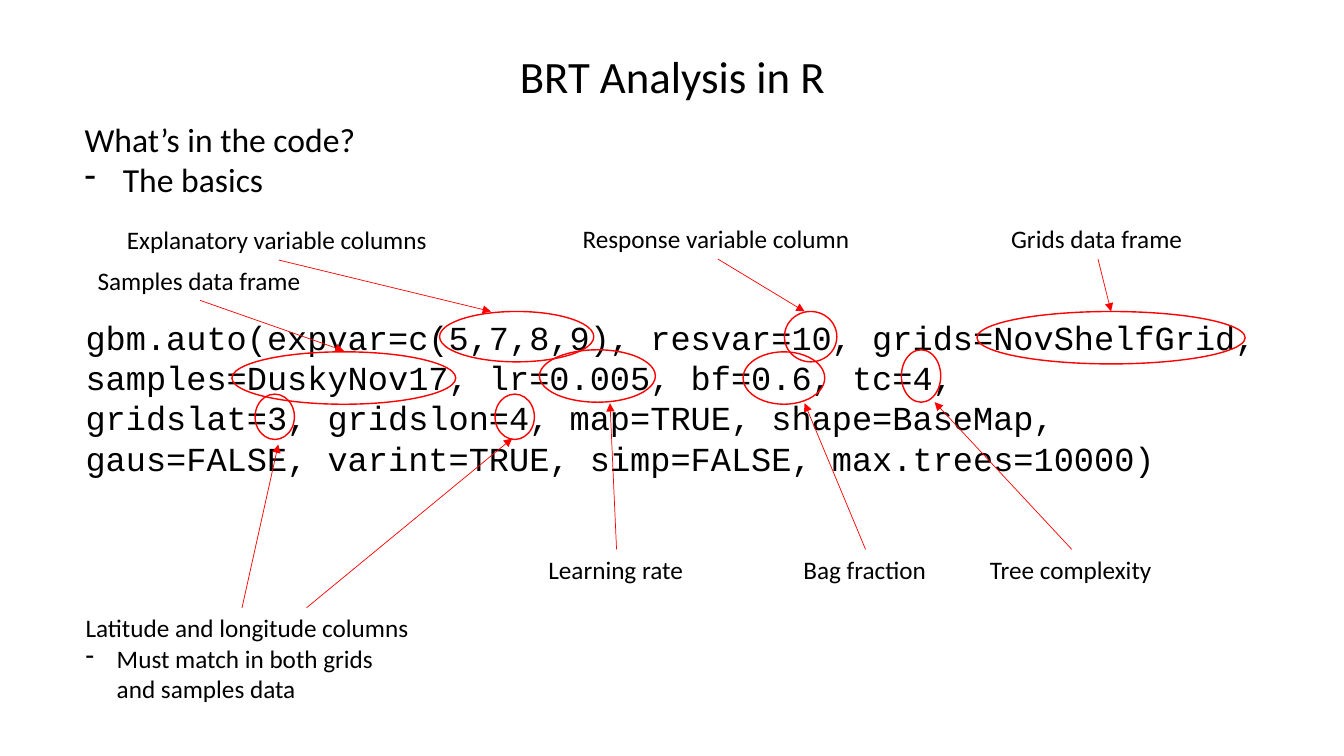
from lxml.etree import SubElement
from pptx import Presentation
from pptx.dml.color import RGBColor
from pptx.enum.shapes import MSO_CONNECTOR, MSO_SHAPE
from pptx.enum.text import MSO_AUTO_SIZE, PP_ALIGN
from pptx.oxml.ns import qn
from pptx.util import Pt

PX = 9144  # 100 px to the inch
BLACK = RGBColor(0, 0, 0)
RED = RGBColor(255, 0, 0)
TOP, BOTTOM = 0, 2

prs = Presentation()
prs.slide_width, prs.slide_height = 1333 * PX, 750 * PX
slide = prs.slides.add_slide(prs.slide_layouts[6])
shapes = slide.shapes


def add_text(box, lines, size, font="Calibri", wrap=False, dash_indent=0):
    """Add a text box; with dash_indent, lines after the first get a dash bullet."""
    text_box = shapes.add_textbox(*(v * PX for v in box))
    frame = text_box.text_frame
    frame.text = "\n".join(lines)
    frame.word_wrap = wrap
    frame.auto_size = MSO_AUTO_SIZE.SHAPE_TO_FIT_TEXT
    for index, paragraph in enumerate(frame.paragraphs):
        if dash_indent and index:
            properties = paragraph._p.get_or_add_pPr()
            properties.set("marL", str(dash_indent * PX))
            properties.set("indent", str(-dash_indent * PX))
            SubElement(properties, qn("a:buChar"), char="-")
        paragraph.font.size = Pt(size)
        paragraph.font.name = font
        paragraph.font.color.rgb = BLACK
    return text_box


def add_arrow(start, end):
    arrow = shapes.add_connector(MSO_CONNECTOR.STRAIGHT, *(v * PX for v in start + end))
    arrow.line.color.rgb = RED
    arrow.line.width = Pt(0.5)
    SubElement(arrow.line._get_or_add_ln(), qn("a:tailEnd"), type="triangle")
    SubElement(arrow._element.spPr, qn("a:effectLst"))
    return arrow


title = add_text((504, 43, 326, 64), ["BRT Analysis in R"], 32)
title.text_frame.paragraphs[0].alignment = PP_ALIGN.CENTER
add_text((74, 113, 291, 91), ["What’s in the code?", "The basics"], 24, dash_indent=38)

code = [
    "gbm.auto(expvar=c(5,7,8,9), resvar=10, grids=NovShelfGrid, "
    "samples=DuskyNov17, lr=0.005, bf=0.6, tc=4,",
    "gridslat=3, gridslon=4, map=TRUE, shape=BaseMap, "
    "gaus=FALSE, varint=TRUE, simp=FALSE, max.trees=10000)",
]
add_text((75, 309, 1200, 172), code, 24, font="Courier New", wrap=True)

argument_rings = [
    (436, 309, 153, 50),  # expvar
    (778, 309, 52, 50),   # resvar
    (969, 309, 266, 52),  # grids
    (230, 349, 222, 52),  # samples
    (535, 347, 115, 52),  # lr
    (737, 349, 81, 52),   # bf
    (894, 347, 39, 52),   # tc
    (253, 391, 39, 45),   # gridslat
    (491, 391, 39, 45),   # gridslon
]
for ring_box in argument_rings:
    ring = shapes.add_shape(MSO_SHAPE.OVAL, *(v * PX for v in ring_box))
    ring.shadow.inherit = False
    ring.fill.background()
    ring.line.color.rgb = RED
    ring.line.width = Pt(1)

# label, left, top, width, side the arrow leaves from, arrow tip
argument_labels = [
    ("Explanatory variable columns", 116, 218, 321, BOTTOM, (487, 309)),
    ("Response variable column", 568, 217, 288, BOTTOM, (798, 309)),
    ("Grids data frame", 993, 217, 192, BOTTOM, (1102, 309)),
    ("Samples data frame", 87, 258, 223, BOTTOM, (341, 348)),
    ("Learning rate", 534, 545, 155, TOP, (605, 400)),
    ("Bag fraction", 787, 545, 143, TOP, (798, 400)),
    ("Tree complexity", 972, 545, 182, TOP, (927, 399)),
]
for wording, left, top, width, side, tip in argument_labels:
    label = add_text((left, top, width, 40), [wording], 18)
    add_arrow((left, top), tip).begin_connect(label, side)

coordinates_note = ["Latitude and longitude columns", "Must match in both grids and samples data"]
add_text((75, 603, 344, 101), coordinates_note, 18, wrap=True, dash_indent=31)
add_arrow((240, 603), (276, 441))
add_arrow((304, 603), (508, 435))

prs.save("out.pptx")
